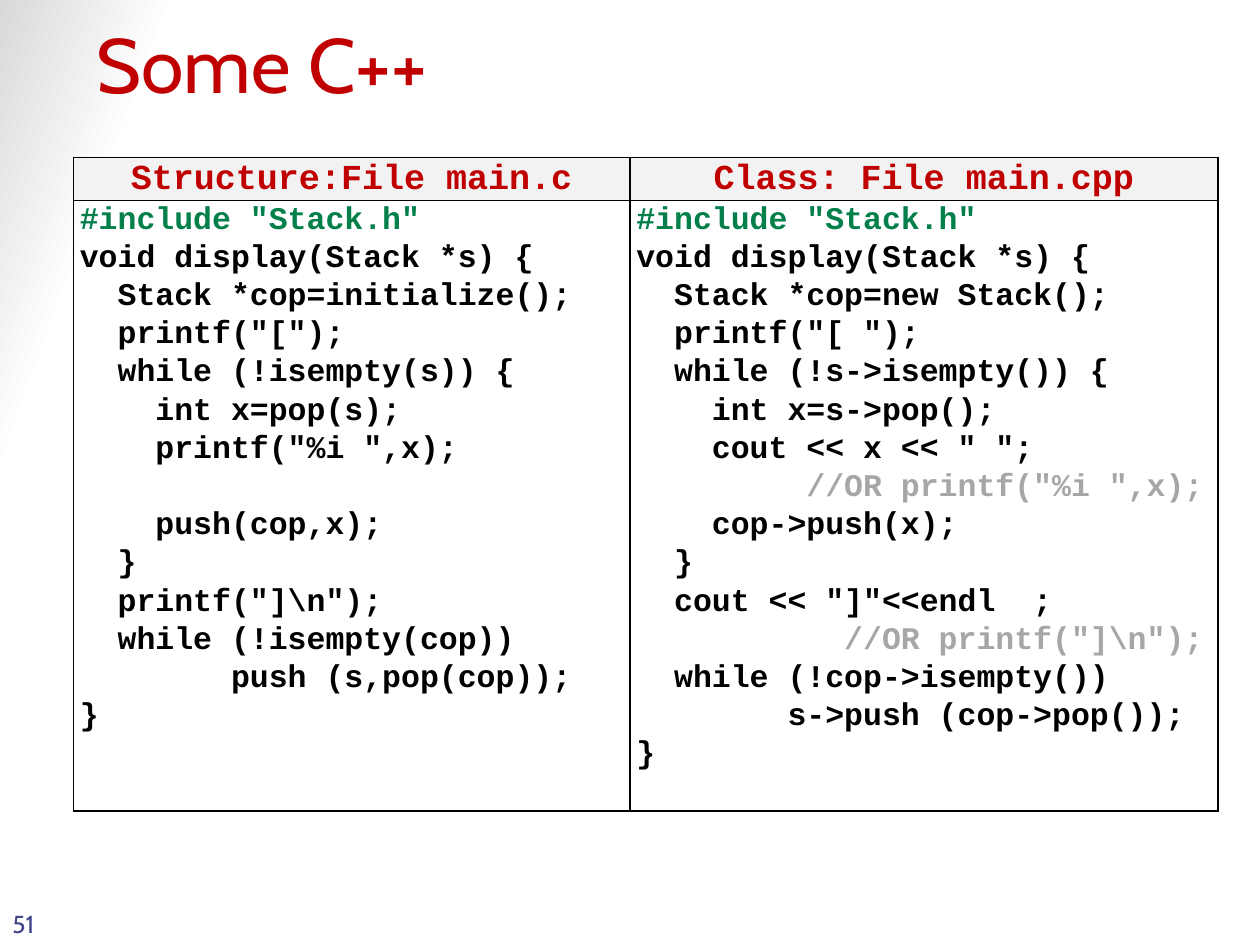
"""Build the slide that sets a C structure beside a C++ class."""
from lxml import etree
from pptx import Presentation
from pptx.dml.color import RGBColor
from pptx.enum.text import MSO_ANCHOR, MSO_AUTO_SIZE, PP_ALIGN
from pptx.oxml.ns import qn
from pptx.util import Pt

LEFT, CENTER = PP_ALIGN.LEFT, PP_ALIGN.CENTER
BOTTOM, NO_FIT = MSO_ANCHOR.BOTTOM, MSO_AUTO_SIZE.NONE
RED, GREEN, GRAY, BLACK = "C00000", "037F4A", "A6A6A6", "000000"
CODE_LINE = 21.8

HEADINGS = ["Structure:File main.c", "Class: File main.cpp"]
STRUCTURE_CODE = r'''#include "Stack.h"
void display(Stack *s) {
  Stack *cop=initialize();
  printf("[");
  while (!isempty(s)) {
    int x=pop(s);
    printf("%i ",x);
    push(cop,x);
  }
  printf("]\n");
  while (!isempty(cop))
        push (s,pop(cop));
}'''
CLASS_CODE = r'''#include "Stack.h"
void display(Stack *s) {
  Stack *cop=new Stack();
  printf("[ ");
  while (!s->isempty()) {
    int x=s->pop();
    cout << x << " ";
         //OR printf("%i ",x);
    cop->push(x);
  }
  cout << "]"<<endl  ;
           //OR printf("]\n");
  while (!cop->isempty())
        s->push (cop->pop());
}'''


def color(value):
    """Turn a hex string into a colour."""
    return RGBColor.from_string(value)


def write(para, text, font, size, hex_color, bold=False, align=LEFT):
    """Put one formatted run into a paragraph."""
    para.alignment = align
    span = para.add_run()
    span.text = text
    for name, value in {"name": font, "size": Pt(size), "bold": bold}.items():
        setattr(span.font, name, value)
    span.font.color.rgb = color(hex_color)


deck = Presentation()
deck.slide_width, deck.slide_height = Pt(720), Pt(540)
page = deck.slides.add_slide(deck.slide_layouts[5])

backdrop = page.background.fill
backdrop.gradient()
backdrop.gradient_angle = 160
for stop, position, shade in zip(backdrop.gradient_stops, (0.89, 1), ("FFFFFF", "D9D9D9")):
    stop.position = position
    stop.color.rgb = color(shade)

title = page.shapes.title
number_box = page.shapes.add_textbox(0, 0, 0, 0)
labels = [
    (title, "Some C++", 44, RED, (48, 24, 612, 42)),
    (number_box, "51", 14, "40458C", (0, 504, 42, 36)),
]
for box, text, size, hex_color, place in labels:
    for name, value in zip(("left", "top", "width", "height"), place):
        setattr(box, name, Pt(value))
    frame_format = {"word_wrap": True, "auto_size": NO_FIT, "vertical_anchor": BOTTOM}
    for name, value in frame_format.items():
        setattr(box.text_frame, name, value)
    write(box.text_frame.paragraphs[0], text, "Cabin", size, hex_color)

table = page.shapes.add_table(2, 2, Pt(42), Pt(90), Pt(654), Pt(373.5)).table
table.columns[0].width, table.columns[1].width = Pt(318), Pt(336)
table.rows[0].height, table.rows[1].height = Pt(24.5), Pt(349)

for cell in table.iter_cells():
    margins = {"margin_left": 3.6, "margin_right": 3.6, "margin_top": 0, "margin_bottom": 0}
    for name, value in margins.items():
        setattr(cell, name, Pt(value))
    properties = cell._tc.get_or_add_tcPr()
    for side in ("a:lnL", "a:lnR", "a:lnT", "a:lnB"):
        border = etree.SubElement(properties, qn(side), w=str(Pt(1)))
        solid = etree.SubElement(border, qn("a:solidFill"))
        etree.SubElement(solid, qn("a:srgbClr"), val=BLACK)

for column, (heading, code) in enumerate(zip(HEADINGS, (STRUCTURE_CODE, CLASS_CODE))):
    head, body = table.cell(0, column), table.cell(1, column)
    head.fill.solid()
    head.fill.fore_color.rgb = color("F2F2F2")
    body.fill.background()
    para = head.text_frame.paragraphs[0]
    para.line_spacing = 1.07
    write(para, heading, "Courier New", 20, RED, True, CENTER)
    for index, line in enumerate(code.split("\n")):
        para = body.text_frame.add_paragraph() if index else body.text_frame.paragraphs[0]
        para.line_spacing = 1.07
        if line.strip() == "push(cop,x);":
            para.space_before = Pt(CODE_LINE)
        hex_color = GREEN if line.startswith("#") else GRAY if "//" in line else BLACK
        write(para, line, "Courier New", 18, hex_color, True)

deck.save("out.pptx")
